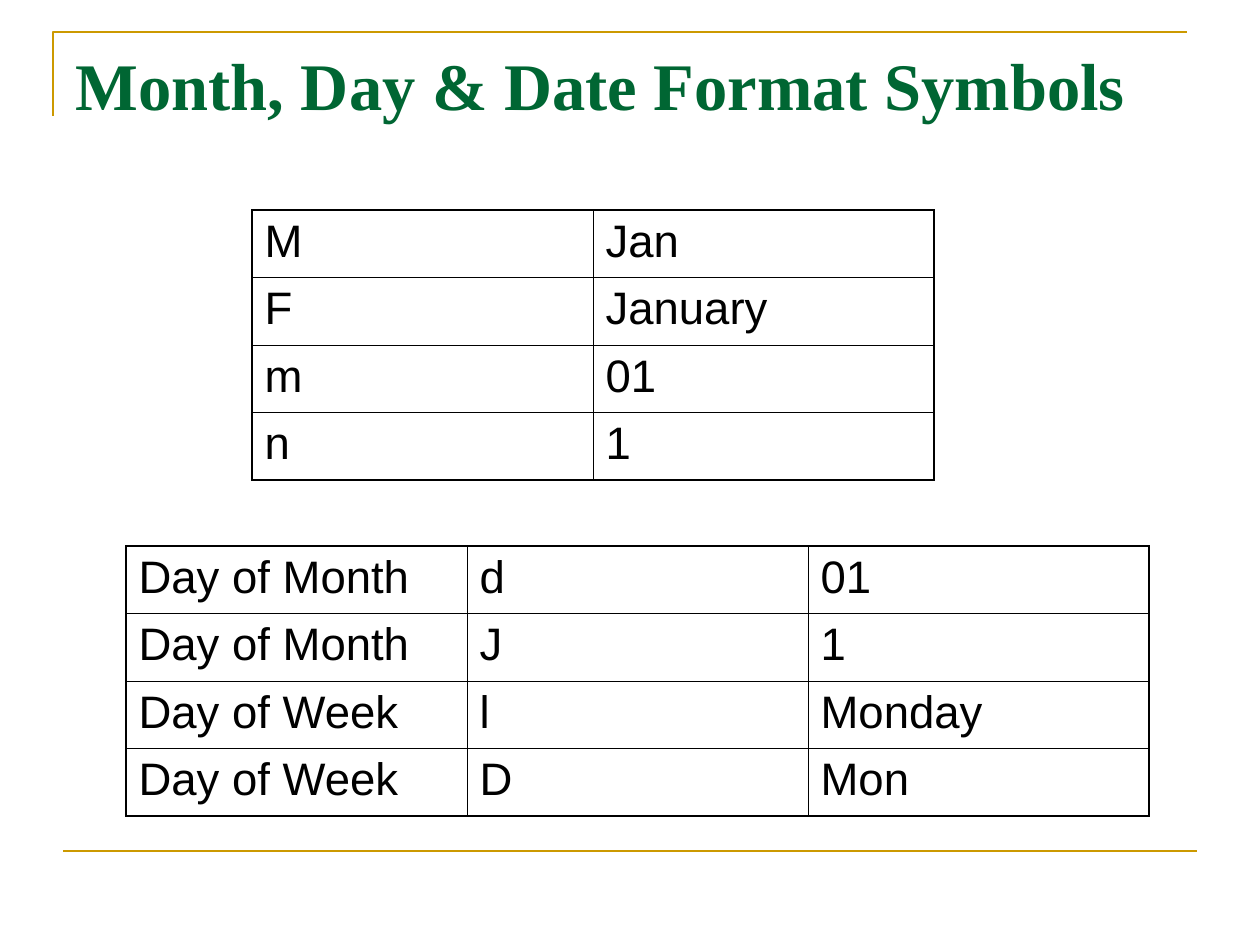
from lxml.etree import SubElement
from pptx import Presentation
from pptx.dml.color import RGBColor
from pptx.enum.shapes import MSO_CONNECTOR
from pptx.enum.text import MSO_ANCHOR, PP_ALIGN
from pptx.oxml.ns import qn
from pptx.util import Pt

PX = 914400 / 126
INK = {"title": "006633", "rule": "CC9900", "text": "000000"}
THIN, THICK = 0.45, 1.08
COL, HIGH = 341, 270  # column width, table height

TABLES = [
    (252, 210, [("M", "Jan"), ("F", "January"), ("m", "01"), ("n", "1")]),
    (126, 546, [
        ("Day of Month", "d", "01"),
        ("Day of Month", "J", "1"),
        ("Day of Week", "l", "Monday"),
        ("Day of Week", "D", "Mon"),
    ]),
]


def px(*nums):
    return [round(n * PX) for n in nums]


def style(font, name, size, ink, bold):
    look = {"name": name, "size": Pt(size), "bold": bold}
    for key, value in look.items():
        setattr(font, key, value)
    font.color.rgb = RGBColor.from_string(INK[ink])


deck = Presentation()
deck.slide_width, deck.slide_height = px(1260, 945)
slide = deck.slides.add_slide(deck.slide_layouts[5])
shapes = slide.shapes

# Gold rules: a corner above the title and a line at the foot
pen = shapes.build_freeform(53, 116, scale=PX)
pen.add_line_segments([(53, 32), (1187, 32)], close=False)
corner = pen.convert_to_shape()
corner.fill.background()
corner.shadow.inherit = False
foot = shapes.add_connector(MSO_CONNECTOR.STRAIGHT, *px(63, 851, 1197, 851))
SubElement(foot._element.spPr, qn("a:effectLst"))
for rule in (corner, foot):
    rule.line.color.rgb = RGBColor.from_string(INK["rule"])
    rule.line.width = Pt(1.5)

# Title
title = shapes.title
title.left, title.top, title.width, title.height = px(63, 38, 1134, 157)
frame = title.text_frame
frame.text = "Month, Day & Date Format Symbols"
frame.vertical_anchor = MSO_ANCHOR.TOP
para = frame.paragraphs[0]
para.alignment = PP_ALIGN.LEFT
style(para.runs[0].font, "Times New Roman", 38, "title", True)

# Tables: thick outer frame, thin inner grid
for left, top, rows in TABLES:
    tall, wide = len(rows), len(rows[0])
    box = px(left, top, COL * wide, HIGH)
    table = shapes.add_table(tall, wide, *box).table
    table.first_row = table.horz_banding = False
    for col in table.columns:
        col.width = px(COL)[0]
    for r, row in enumerate(rows):
        table.rows[r].height = px(HIGH / tall)[0]
        for c, word in enumerate(row):
            cell = table.cell(r, c)
            cell.text = word
            para = cell.text_frame.paragraphs[0]
            para.space_before = Pt(6.5)
            style(para.runs[0].font, "Arial", 26, "text", False)
            edges = {
                "lnL": c == 0,
                "lnR": c == wide - 1,
                "lnT": r == 0,
                "lnB": r == tall - 1,
            }
            props = cell._tc.get_or_add_tcPr()
            for tag, outer in edges.items():
                width = Pt(THICK if outer else THIN)
                line = SubElement(props, qn("a:" + tag), w=str(width))
                fill = SubElement(line, qn("a:solidFill"))
                SubElement(fill, qn("a:srgbClr"), val=INK["text"])
            cell.fill.background()

deck.save("out.pptx")
